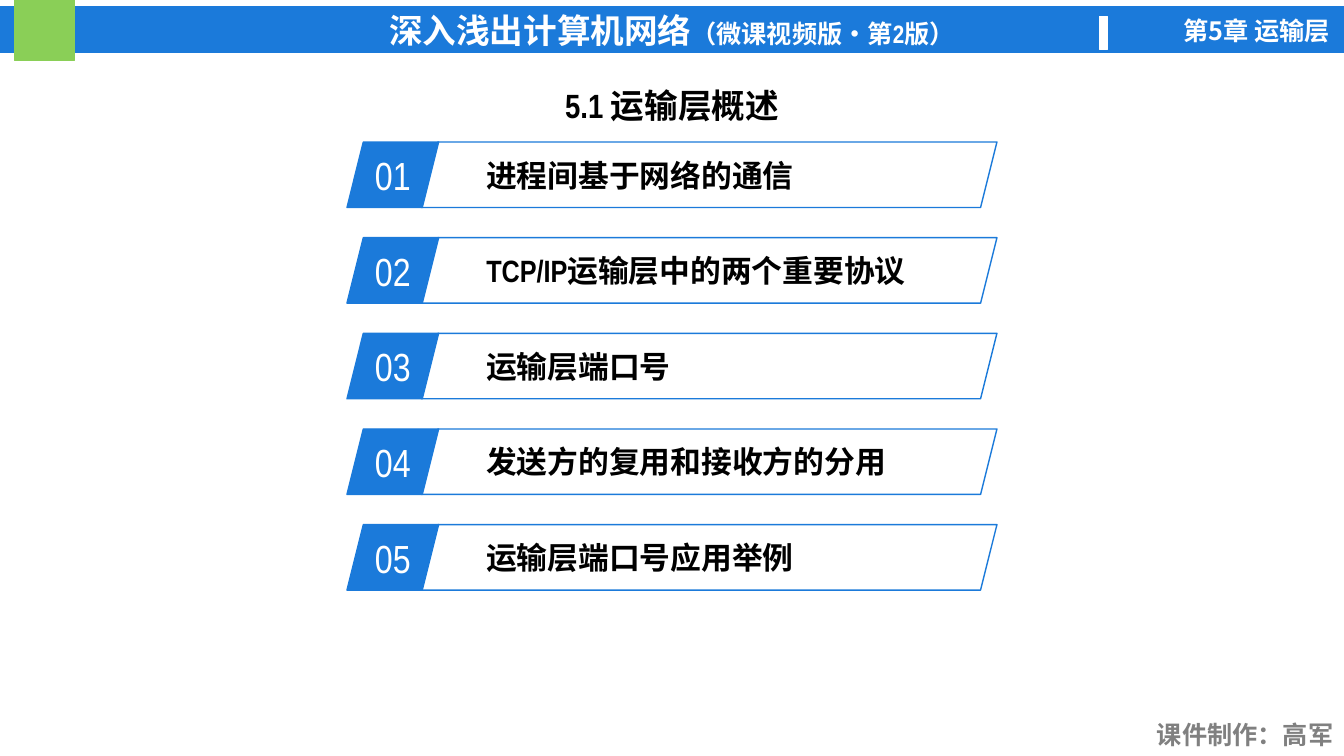
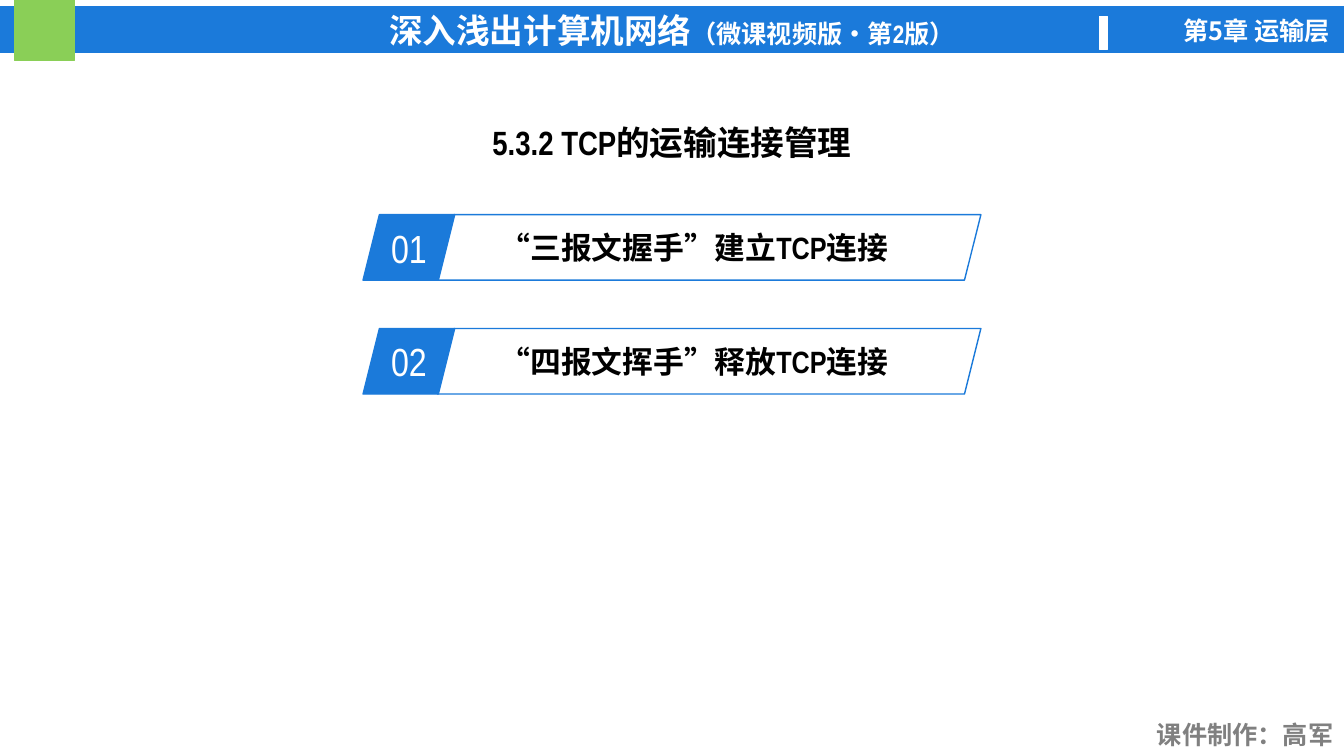
import pptx
import pptx.dml.color
import pptx.enum.shapes
import pptx.enum.text
import pptx.oxml
import pptx.oxml.ns
import pptx.util

Cm = pptx.util.Cm
Pt = pptx.util.Pt
Form = pptx.enum.shapes.MSO_SHAPE
Align = pptx.enum.text.PP_ALIGN
Anchor = pptx.enum.text.MSO_ANCHOR

WIDE, HIGH = 33.87, 19.05


class Deck:
    hues = {"blue": "1B7ADA", "green": "8ACF57", "white": "FFFFFF",
            "gray": "808080", "black": "000000"}
    latin = "Arial Narrow"
    asian = "Noto Sans CJK SC"

    def __init__(self):
        self.file = pptx.Presentation()
        self.file.slide_width = Cm(WIDE)
        self.file.slide_height = Cm(HIGH)
        self.slide = None

    def hue(self, name):
        return pptx.dml.color.RGBColor.from_string(self.hues[name])

    def page(self, title, top):
        self.slide = self.file.slides.add_slide(self.file.slide_layouts[6])
        band = self.shape(Form.RECTANGLE, 0, 0.18, WIDE, 1.14, "blue", "blue")
        self.words(band, [("深入浅出计算机网络", 24), ("（微课视频版•第2版）", 18)], "white")
        self.shape(Form.RECTANGLE, 0.36, 0, 1.52, 1.52, "green", "green")
        self.shape(Form.RECTANGLE, 27.71, 0.41, 0.2, 0.84, "white", "white")
        self.label("第5章 运输层", 28.22, 0.25, 5.54, "white", self.asian)
        self.label("课件制作：高军", 28.8, 18.01, 5.05, "gray")
        head = self.box((WIDE - 11.9) / 2, top, 11.9, 1.17)
        self.words(head, [(title, 24)], "black")

    def shape(self, form, left, top, width, height, line, fill=None):
        item = self.slide.shapes.add_shape(
            form, Cm(left), Cm(top), Cm(width), Cm(height))
        item.shadow.inherit = False
        if fill:
            item.fill.solid()
            item.fill.fore_color.rgb = self.hue(fill)
        else:
            item.fill.background()
        item.line.color.rgb = self.hue(line)
        item.line.width = Pt(1)
        return item

    def box(self, left, top, width, height):
        return self.slide.shapes.add_textbox(
            Cm(left), Cm(top), Cm(width), Cm(height))

    def label(self, text, left, top, width, hue, face=None):
        item = self.box(left, top, width, 1.02)
        self.words(item, [(text, 18)], hue, Align.RIGHT, Anchor.TOP, face=face)
        item.text_frame.auto_size = pptx.enum.text.MSO_AUTO_SIZE.SHAPE_TO_FIT_TEXT

    def words(self, item, runs, hue, align=Align.CENTER, anchor=Anchor.MIDDLE,
              bold=True, face=None):
        frame = item.text_frame
        frame.word_wrap = True
        frame.vertical_anchor = anchor
        para = frame.paragraphs[0]
        para.alignment = align
        for text, size in runs:
            run = para.add_run()
            run.text = text
            font = run.font
            font.size = Pt(size)
            font.bold = bold
            font.color.rgb = self.hue(hue)
            font.name = face or self.latin
            east = pptx.oxml.parse_xml(
                f'<a:ea {pptx.oxml.ns.nsdecls("a")} typeface="{self.asian}"/>')
            run._r.get_or_add_rPr().find(pptx.oxml.ns.qn("a:latin")).addnext(east)

    def items(self, texts, top, pitch, width):
        shift, height = 1.88, 1.65
        left = (WIDE - shift - width) / 2
        for count, text in enumerate(texts):
            row = top + count * pitch
            tag = self.shape(Form.PARALLELOGRAM, left, row, 2.31, height, "blue", "blue")
            self.words(tag, [(f"{count + 1:02}", 28)], "white", bold=False)
            bar = self.shape(Form.PARALLELOGRAM, left + shift, row, width, height, "blue")
            self.words(bar, [(text, 22)], "black", Align.LEFT)


def main():
    deck = Deck()
    deck.page("5.1 运输层概述", 2.06)
    deck.items(["进程间基于网络的通信", "TCP/IP运输层中的两个重要协议", "运输层端口号",
                "发送方的复用和接收方的分用", "运输层端口号应用举例"], 3.58, 2.41, 14.5)
    deck.page("5.3.2 TCP的运输连接管理", 3)
    deck.items(["“三报文握手”建立TCP连接", "“四报文挥手”释放TCP连接"], 5.41, 2.87, 13.69)
    deck.file.save("out.pptx")


if __name__ == "__main__":
    main()
